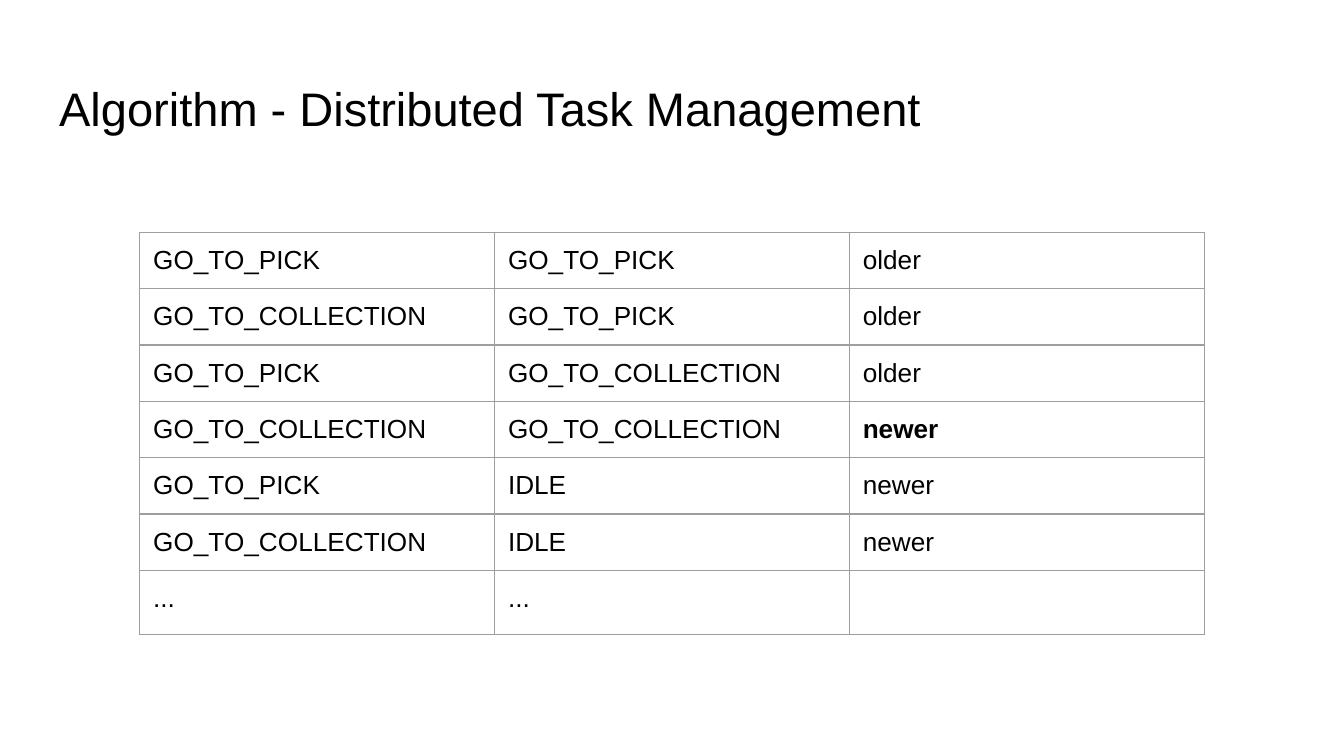
"""Build the distributed task management slide with its table of task states."""
from lxml.etree import SubElement
from pptx import Presentation
from pptx.dml.color import RGBColor
from pptx.enum.text import MSO_ANCHOR, MSO_AUTO_SIZE, PP_ALIGN
from pptx.oxml.ns import qn
from pptx.util import Inches, Pt


def style_text(tf, size, color="000000", bold=False):
    for p in tf.paragraphs:
        p.alignment = PP_ALIGN.LEFT
        for r in p.runs:
            r.font.name = "Arial"
            r.font.size = Pt(size)
            r.font.bold = bold
            r.font.color.rgb = RGBColor.from_string(color)


def add_borders(cell, color="9E9E9E", width=0.75):
    tc_pr = cell._tc.get_or_add_tcPr()
    for side in ("a:lnL", "a:lnR", "a:lnT", "a:lnB"):
        ln = SubElement(tc_pr, qn(side), w=str(Pt(width)))
        fill = SubElement(ln, qn("a:solidFill"))
        SubElement(fill, qn("a:srgbClr"), val=color)


prs = Presentation()
prs.slide_width = Inches(10)
prs.slide_height = prs.slide_width * 9 // 16
s = prs.slides.add_slide(prs.slide_layouts[5])

title = s.shapes.title
title.left, title.top = Inches(0.34), Inches(0.49)
title.width, title.height = Inches(9.32), Inches(0.63)
tf = title.text_frame
tf.text = "Algorithm - Distributed Task Management"
tf.auto_size = MSO_AUTO_SIZE.NONE
tf.vertical_anchor = MSO_ANCHOR.MIDDLE
tf.margin_left = tf.margin_right = tf.margin_top = tf.margin_bottom = Inches(0.1)
style_text(tf, 25.2)

rows = [
    ("GO_TO_PICK", "GO_TO_PICK", "older"),
    ("GO_TO_COLLECTION", "GO_TO_PICK", "older"),
    ("GO_TO_PICK", "GO_TO_COLLECTION", "older"),
    ("GO_TO_COLLECTION", "GO_TO_COLLECTION", "newer"),
    ("GO_TO_PICK", "IDLE", "newer"),
    ("GO_TO_COLLECTION", "IDLE", "newer"),
    ("...", "...", ""),
]
bold_cell = (3, 2)
row_height = Inches(0.34)

table = s.shapes.add_table(
    len(rows), 3, Inches(1.04), Inches(1.73), Inches(7.92), row_height * len(rows)
).table
table.first_row = False
table.horz_banding = False
for col in table.columns:
    col.width = Inches(2.64)

for i, texts in enumerate(rows):
    table.rows[i].height = row_height
    for j, text in enumerate(texts):
        cell = table.cell(i, j)
        cell.margin_left = cell.margin_right = Inches(0.1)
        cell.margin_top = cell.margin_bottom = Inches(0.1)
        add_borders(cell)
        cell.fill.background()
        if text:
            cell.text_frame.text = text
            style_text(cell.text_frame, 14, bold=(i, j) == bold_cell)
        else:
            end = SubElement(cell.text_frame.paragraphs[0]._p, qn("a:endParaRPr"))
            SubElement(end, qn("a:latin"), typeface="Arial")

prs.save("out.pptx")
